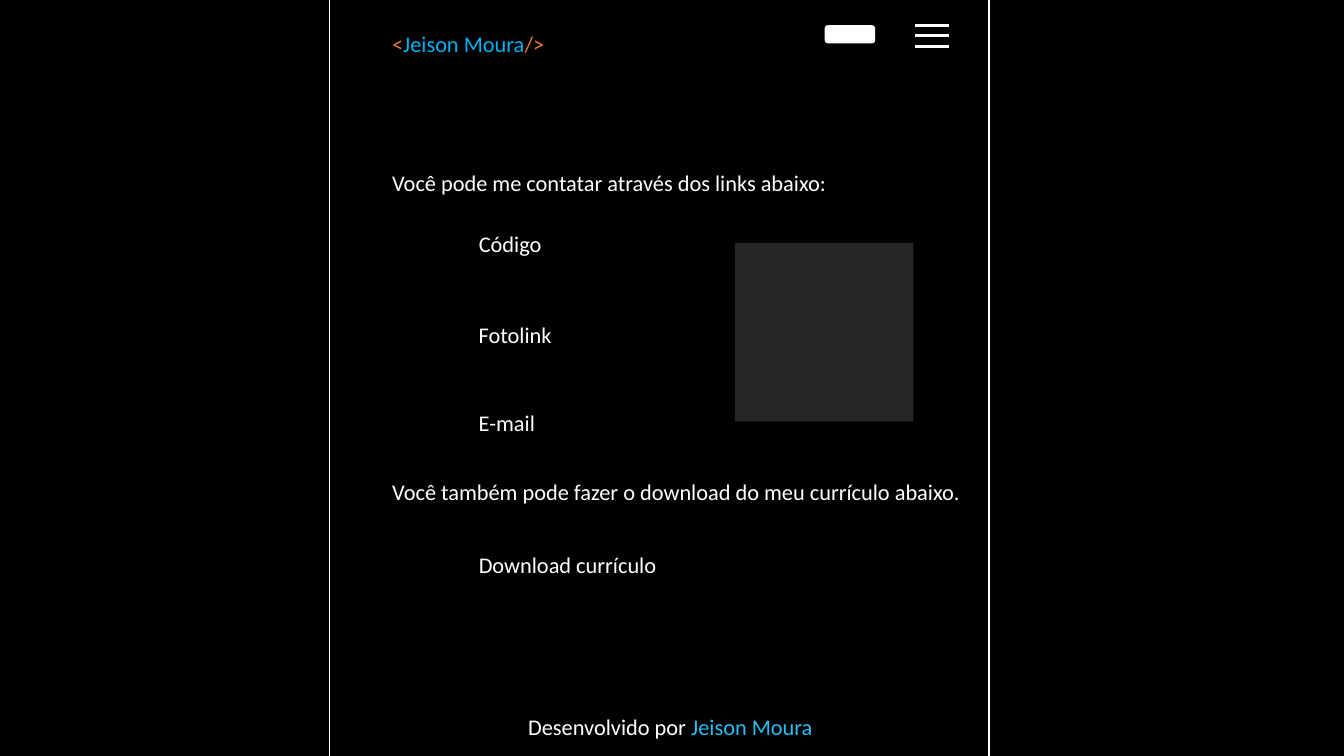
from lxml import etree
from pptx import Presentation
from pptx.dml.color import RGBColor
from pptx.enum.shapes import MSO_CONNECTOR, MSO_SHAPE
from pptx.enum.text import MSO_AUTO_SIZE
from pptx.oxml.ns import qn
from pptx.util import Inches, Pt

BLACK = RGBColor(0x00, 0x00, 0x00)
WHITE = RGBColor(0xFF, 0xFF, 0xFF)
GRAY = RGBColor(0x26, 0x26, 0x26)
ORANGE = RGBColor(0xED, 0x7D, 0x31)
BLUE = RGBColor(0x00, 0xB0, 0xF0)
LIGHT_BLUE = RGBColor(0x2A, 0xBD, 0xF2)

AUTHOR = "Jeison Moura"
LINE_HEIGHT = 0.37


def add_text(slide, left, top, width, *runs):
    """Add one unwrapped line made of (text, colour) runs."""
    box = slide.shapes.add_textbox(
        Inches(left), Inches(top), Inches(width), Inches(LINE_HEIGHT))
    frame = box.text_frame
    frame.word_wrap = False
    frame.auto_size = MSO_AUTO_SIZE.SHAPE_TO_FIT_TEXT
    paragraph = frame.paragraphs[0]
    paragraph.font.name = "Calibri"
    paragraph.font.size = Pt(16)
    for text, color in runs:
        run = paragraph.add_run()
        run.text = text
        run.font.color.rgb = color


def add_block(slide, kind, left, top, width, height, fill=None):
    """Add a preset shape, filled without outline or outlined in white."""
    shape = slide.shapes.add_shape(
        kind, Inches(left), Inches(top), Inches(width), Inches(height))
    shape.shadow.inherit = False
    if fill is None:
        shape.fill.background()
        shape.line.color.rgb = WHITE
        shape.line.width = Pt(1)
    else:
        shape.fill.solid()
        shape.fill.fore_color.rgb = fill
        shape.line.fill.background()


def add_menu_icon(slide, left, top, width, height):
    """Add three evenly spaced menu bars as one group."""
    group = slide.shapes.add_group_shape()
    for index in range(3):
        y = Inches(top + index * height / 2)
        bar = group.shapes.add_connector(
            MSO_CONNECTOR.STRAIGHT, Inches(left), y, Inches(left + width), y)
        bar.line.color.rgb = WHITE
        bar.line.width = Pt(2.25)
        etree.SubElement(bar.element.spPr, qn("a:effectLst"))


def add_header(slide, left, top):
    """Add the signature, language button and menu icon."""
    add_text(slide, left, top, 1.75, ("<", ORANGE), (AUTHOR, BLUE), ("/>", ORANGE))
    add_block(slide, MSO_SHAPE.ROUNDED_RECTANGLE, left + 4.39, top, 0.5, 0.18, WHITE)
    add_menu_icon(slide, left + 5.29, top, 0.33, 0.21)


def add_contacts(slide, left, top):
    """Add the contact links, the panel beside them and the download link."""
    link_left = left + 0.86
    lines = (
        (left, 0, 4.56, "Você pode me contatar através dos links abaixo:"),
        (link_left, 0.6, 0.88, "Código"),
        (link_left, 1.51, 1, "Fotolink"),
        (link_left, 2.38, 0.77, "E-mail"),
        (left, 3.06, 5.91,
         "Você também pode fazer o download do meu currículo abaixo."),
        (link_left, 3.79, 2.05, "Download currículo"),
    )
    for line_left, offset, width, text in lines:
        add_text(slide, line_left, top + offset, width, (text, WHITE))
    add_block(slide, MSO_SHAPE.RECTANGLE, left + 3.5, top + 0.78, 1.77, 1.77, GRAY)


def add_footer(slide, left, top):
    """Add the credit line at the bottom of the page."""
    add_text(slide, left, top, 3.06,
             ("Desenvolvido por ", WHITE), (AUTHOR, LIGHT_BLUE))


def main():
    """Build the contact page and save it."""
    presentation = Presentation()
    presentation.slide_width = Inches(13.33)
    presentation.slide_height = Inches(7.5)
    slide = presentation.slides.add_slide(presentation.slide_layouts[6])
    slide.background.fill.solid()
    slide.background.fill.fore_color.rgb = BLACK
    add_contacts(slide, 3.79, 1.63)
    add_footer(slide, 5.14, 7.03)
    add_block(slide, MSO_SHAPE.RECTANGLE, 3.27, -0.18, 6.54, 7.86)
    add_header(slide, 3.79, 0.25)
    presentation.save("out.pptx")


if __name__ == "__main__":
    main()
